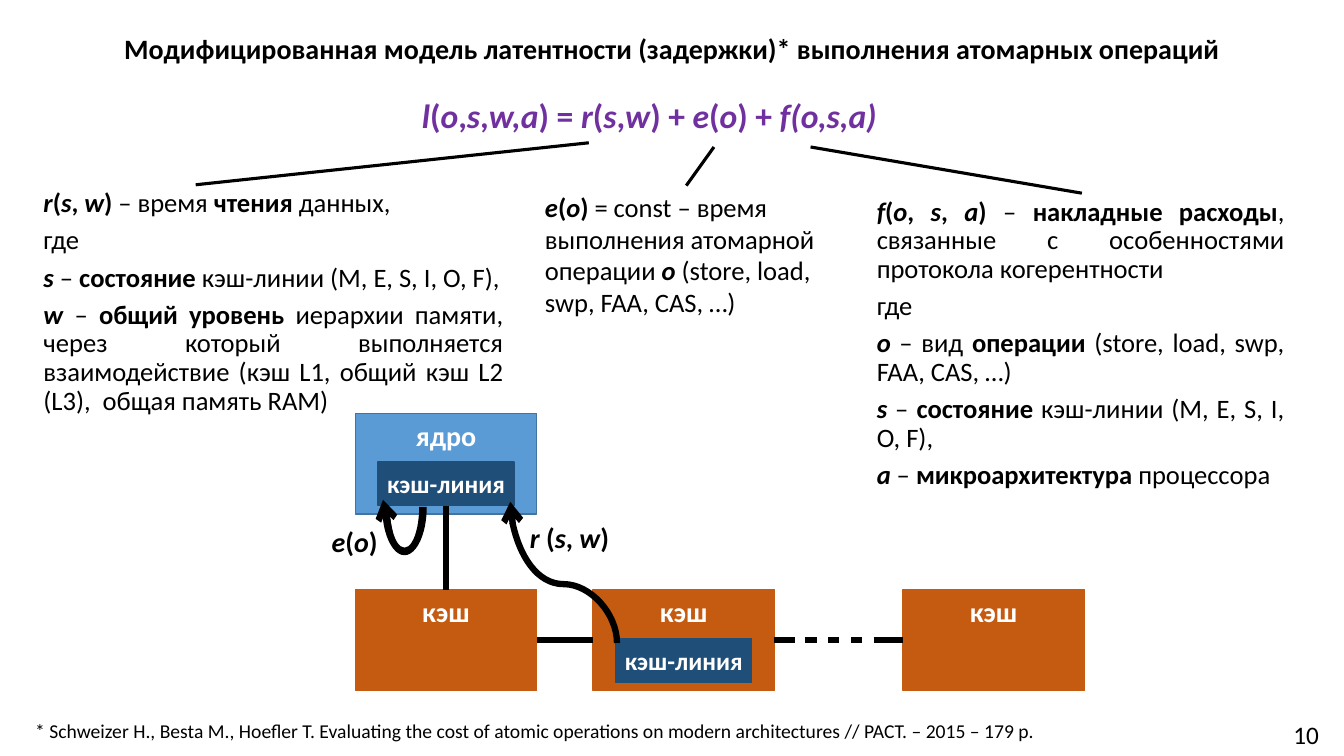
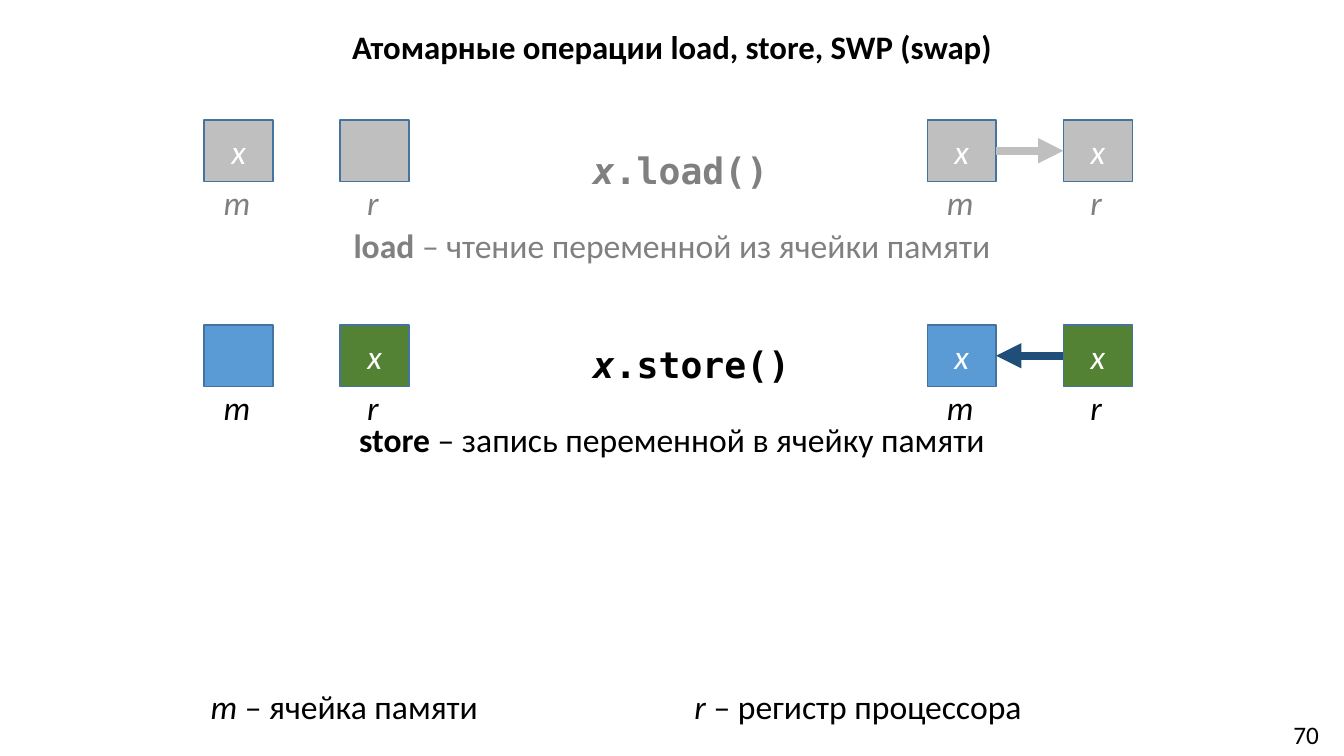
"""Build two slides on the latency and the kinds of atomic operations."""
from lxml import etree
from pptx import Presentation
from pptx.dml.color import RGBColor
from pptx.enum.shapes import MSO_CONNECTOR, MSO_SHAPE
from pptx.enum.text import MSO_ANCHOR, MSO_AUTO_SIZE, PP_ALIGN
from pptx.oxml.ns import qn
from pptx.util import Inches, Pt

STRAIGHT, CURVE = MSO_CONNECTOR.STRAIGHT, MSO_CONNECTOR.CURVE
LEFT, CENTER, JUSTIFY = PP_ALIGN.LEFT, PP_ALIGN.CENTER, PP_ALIGN.JUSTIFY
TOP, MIDDLE = MSO_ANCHOR.TOP, MSO_ANCHOR.MIDDLE
TOP_SIDE, LEFT_SIDE, BOTTOM_SIDE, RIGHT_SIDE = range(4)

COLORS = {
    "black": "000000", "white": "FFFFFF", "purple": "7030A0", "blue": "5B9BD5",
    "edge": "43739E", "navy": "1F4E79", "orange": "C55A11", "green": "548235",
    "silver": "BFBFBF", "gray": "808080",
}
COLUMNS, ROWS = 80, 45
CELL = Inches(7.5) / ROWS
TITLE_ONLY = 5


def put(page, area, text, size=24, color="black", bold=False, italic=False, align=LEFT,
        anchor=TOP, spacing=1.0, after=0, font="Calibri", fill=None, edge=None,
        inset=0.1, box=None):
    """Place text on the cell grid; ^ toggles bold and ~ toggles italic."""
    left, top, width, height = [round(cells * CELL) for cells in area]
    if box is None and fill:
        box = page.shapes.add_shape(MSO_SHAPE.RECTANGLE, left, top, width, height)
        box.shadow.inherit = False
        box.fill.solid()
        box.fill.fore_color.rgb = RGBColor.from_string(COLORS[fill])
        box.line.color.rgb = RGBColor.from_string(COLORS[edge or fill])
        box.line.width = Pt(1)
    elif box is None:
        box = page.shapes.add_textbox(left, top, width, height)
    box.left, box.top, box.width, box.height = left, top, width, height
    frame = box.text_frame
    frame.auto_size = MSO_AUTO_SIZE.NONE
    frame.word_wrap = True
    frame.vertical_anchor = anchor
    frame.margin_left = frame.margin_right = Inches(inset)
    for index, line in enumerate(text.split("\n")):
        para = frame.add_paragraph() if index else frame.paragraphs[0]
        para.alignment = align
        para.line_spacing = spacing
        para.space_before, para.space_after = Pt(0), Pt(after)
        para.font.name, para.font.size = font, Pt(size)
        para.font.bold, para.font.italic = bold, italic
        para.font.color.rgb = RGBColor.from_string(COLORS[color])
        for bold_turn, chunk in enumerate(line.split("^")):
            for italic_turn, piece in enumerate(chunk.split("~")):
                if piece:
                    span = para.add_run()
                    span.text = piece
                    if bold_turn % 2:
                        span.font.bold = True
                    if italic_turn % 2:
                        span.font.italic = True
    return box


def link(page, start, end, width, color="black", head=None, kind=STRAIGHT):
    """Draw a connector between two grid points or two (shape, side) pairs."""
    joined = [hasattr(point[0], "shape_id") for point in (start, end)]
    ends = [(0, 0) if is_shape else [round(cells * CELL) for cells in point]
            for point, is_shape in zip((start, end), joined)]
    line = page.shapes.add_connector(kind, *ends[0], *ends[1])
    if joined[0]:
        line.begin_connect(*start)
    if joined[1]:
        line.end_connect(*end)
    line.line.color.rgb = RGBColor.from_string(COLORS[color])
    line.line.width = Pt(width)
    if head:
        etree.SubElement(line.line._get_or_add_ln(), qn("a:tailEnd"), type=head)
    etree.SubElement(line._element.spPr, qn("a:effectLst"))
    return line


deck = Presentation()
deck.slide_width, deck.slide_height = round(COLUMNS * CELL), round(ROWS * CELL)

pages = []
for title, title_top, title_size, number in [
    ("Модифицированная модель латентности (задержки)* выполнения атомарных операций",
     1.8, 20, "10"),
    ("Атомарные операции load, store, SWP (swap)", 1.56, 23.4, "70"),
]:
    page = deck.slides.add_slide(deck.slide_layouts[TITLE_ONLY])
    put(page, (0, title_top, COLUMNS, 2.4), title, title_size, bold=True, align=CENTER,
        spacing=0.9, box=page.shapes.title)
    put(page, (75.5, 42.35, 4.5, 2.7), number, 18, align=CENTER, anchor=MIDDLE)
    pages.append(page)
model, operations = pages

put(model, (24.1, 4.9, 29.1, 4),
    "~l~(~o~,~s~,~w,a~) = ~r~(~s~,~w~) + ~e~(~o~) + ~f(o,s,a)~",
    color="purple", bold=True, align=CENTER, spacing=1.2)

read_text = """^~r~(~s~, ~w~)^ – время ^чтения^ данных,
где
^~s~^ – ^состояние^ кэш-линии (M, E, S, I, O, F),
^~w~^ – ^общий уровень^ иерархии памяти, через который выполняется взаимодействие \
(кэш L1, общий кэш L2 (L3),  общая память RAM)"""
execute_text = ("^~e~(~o~)^ = const – время выполнения атомарной операции ^~o~^ "
                "(store, load, swp, FAA, CAS, …)")
overhead_text = """^~f~(~o~, ~s~, ~a~)^ – ^накладные расходы^, связанные с особенностями \
протокола когерентности
где
^~o~^ – вид ^операции^ (store, load, swp, FAA, CAS, …)
^~s~^ – ^состояние^ кэш-линии (M, E, S, I, O, F),
^~a~^ – ^микроархитектура^ процессора"""
for area, text, align, spacing, after, start, end in [
    ((2, 11, 28.55, 13.9), read_text, JUSTIFY, 0.9, 6, (35.05, 8.5), (11.65, 11)),
    ((31.85, 11.05, 18, 8.5), execute_text, LEFT, 1.0, 0, (42.5, 8.75), (40.85, 11.05)),
    ((51.6, 11.5, 25.45, 18.35), overhead_text, JUSTIFY, 0.9, 6, (48.25, 8.75), (64.4, 11.5)),
]:
    put(model, area, text, 19, align=align, spacing=spacing, after=after)
    link(model, start, end, 2.25)

blocks, cache_lines = [], []
for left, top, name, fill, edge, has_line in [
    (21.15, 24.6, "ядро", "blue", "edge", True),
    (21.15, 35.1, "кэш", "orange", None, False),
    (35.3, 35.1, "кэш", "orange", None, True),
    (53.75, 35.1, "кэш", "orange", None, False),
]:
    blocks.append(put(model, (left, top, 10.8, 6), name, 20, "white", bold=True,
                      align=CENTER, fill=fill, edge=edge))
    if has_line:
        cache_lines.append(put(model, (left + 1.35, top + 2.9, 8.1, 2.6), "кэш-линия", 18,
                               "white", bold=True, align=CENTER, anchor=MIDDLE,
                               fill="navy", inset=0))
core, own_cache, near_cache, far_cache = blocks

link(model, (cache_lines[0], BOTTOM_SIDE), (own_cache, TOP_SIDE), 4.5)
link(model, (own_cache, RIGHT_SIDE), (near_cache, LEFT_SIDE), 4.5)
axis = 38.1
for start, end in [
    ((near_cache, RIGHT_SIDE), (47.35, axis)),
    ((47.9, axis), (48.65, axis)),
    ((49.3, axis), (49.95, axis)),
    ((50.65, axis), (51.3, axis)),
    ((52, axis), (far_cache, LEFT_SIDE)),
]:
    link(model, start, end, 4.5)

read_arrow = link(model, (29.35, 37.25), (37.75, 30.9), 4.5, head="arrow", kind=CURVE)
read_arrow._element.spPr.find(qn("a:xfrm")).set("rot", str(270 * 60000))
guides = read_arrow._element.spPr.find(qn("a:prstGeom")).find(qn("a:avLst"))
etree.SubElement(guides, qn("a:gd"), name="adj1", fmla="val 41700")

loop = model.shapes.add_shape(
    MSO_SHAPE.BLOCK_ARC, *[round(cells * CELL) for cells in (22.75, 27.3, 2.65, 5.75)])
loop.rotation = 180
loop.adjustments[2] = 0.17
loop.shadow.inherit = False
loop.fill.solid()
loop.fill.fore_color.rgb = RGBColor.from_string(COLORS["black"])
loop.line.fill.background()
link(model, (23.2, 31.75), (22.8, 29.75), 4.5, head="arrow")

put(model, (19.15, 30.95, 4.4, 2.65), "~e~(~o~)", 20, bold=True)
put(model, (30.95, 30.7, 6.4, 2.65), "~r~ (~s~, ~w~)", 20, bold=True)
put(model, (1.5, 42.5, 72, 1.75),
    "* Schweizer H., Besta M., Hoefler T. Evaluating the cost of atomic operations on "
    "modern architectures // PACT. – 2015 – 179 p.", 14)

TILE_WIDTH, TILE_HEIGHT, TILE_STEP = 4.1, 3.65, 8.1
for name, meaning, tile_top, code_top, ink, fills, arrow, before, is_load in [
    ("load", "чтение переменной из ячейки памяти", 7.15, 8.5, "gray",
     ("silver", "silver"), "silver", ("x", ""), True),
    ("store", "запись переменной в ячейку памяти", 19.35, 20.05, "black",
     ("blue", "green"), "navy", ("", "x"), False),
]:
    put(operations, (34.7, code_top, 14, 2.75), f"~x~.{name}()", 26, ink, bold=True,
        font="DejaVu Sans Mono")
    put(operations, (7.15, code_top + 4.85, 65.7, 3.5), f"^{name}^ – {meaning}", color=ink,
        align=CENTER, spacing=0.9)
    for state_left, values in [(12.15, before), (55.2, ("x", "x"))]:
        tiles = []
        for index, (label, value, fill) in enumerate(zip("mr", values, fills)):
            left = state_left + index * TILE_STEP
            tiles.append(put(operations, (left, tile_top, TILE_WIDTH, TILE_HEIGHT), value,
                             color="white", italic=True, align=CENTER, anchor=MIDDLE,
                             fill=fill, edge="edge"))
            put(operations, (left - 0.1, tile_top + 3.4, TILE_WIDTH, 3), label, color=ink,
                italic=True, align=CENTER)
    memory, register = (tiles[0], RIGHT_SIDE), (tiles[1], LEFT_SIDE)
    start, end = (memory, register) if is_load else (register, memory)
    link(operations, start, end, 6, arrow, head="triangle")

for left, text in [(11.95, "~m~ – ячейка памяти"), (40.75, "~r~ – регистр процессора")]:
    put(operations, (left, 40.55, 25.7, 3), text)

deck.save("out.pptx")
